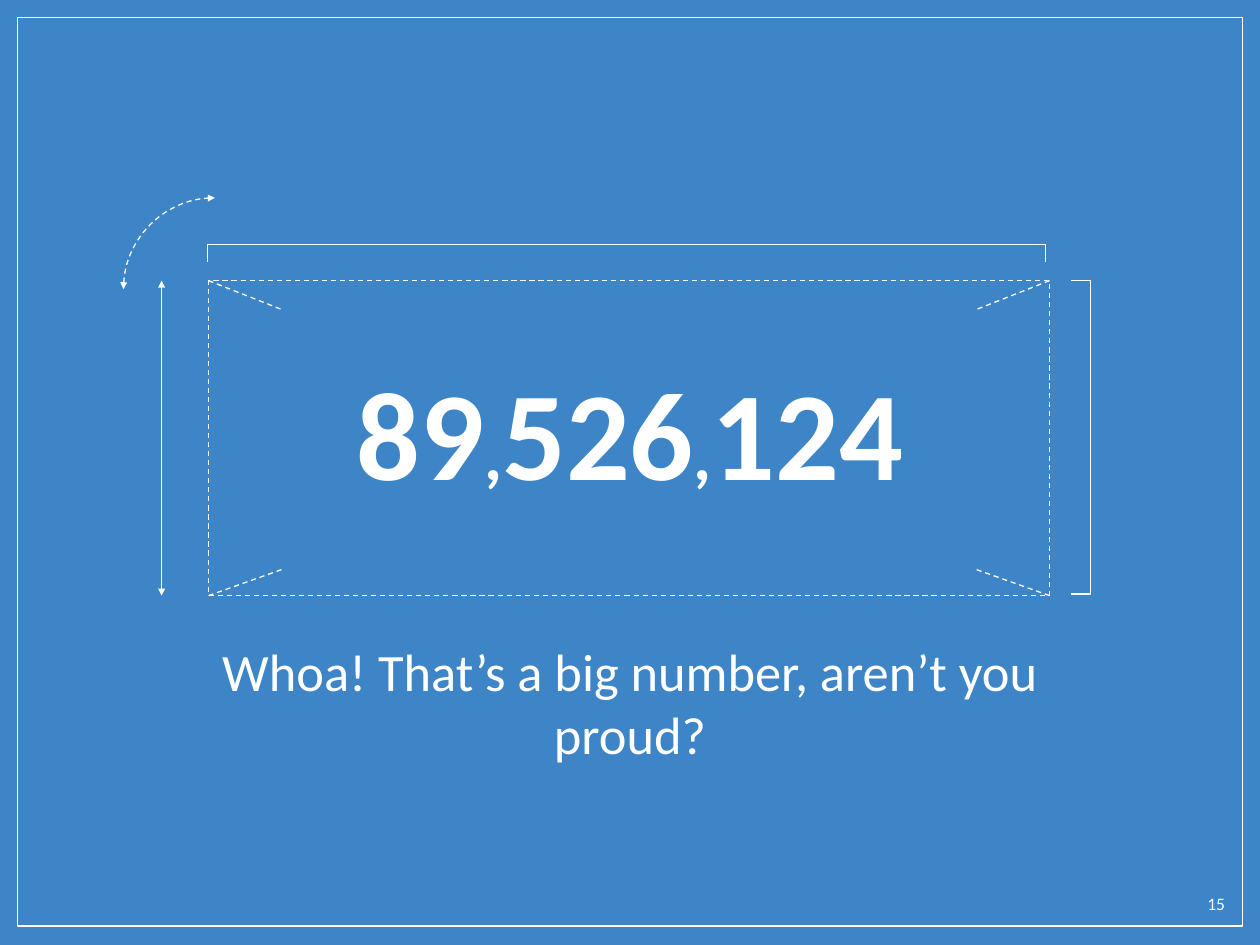
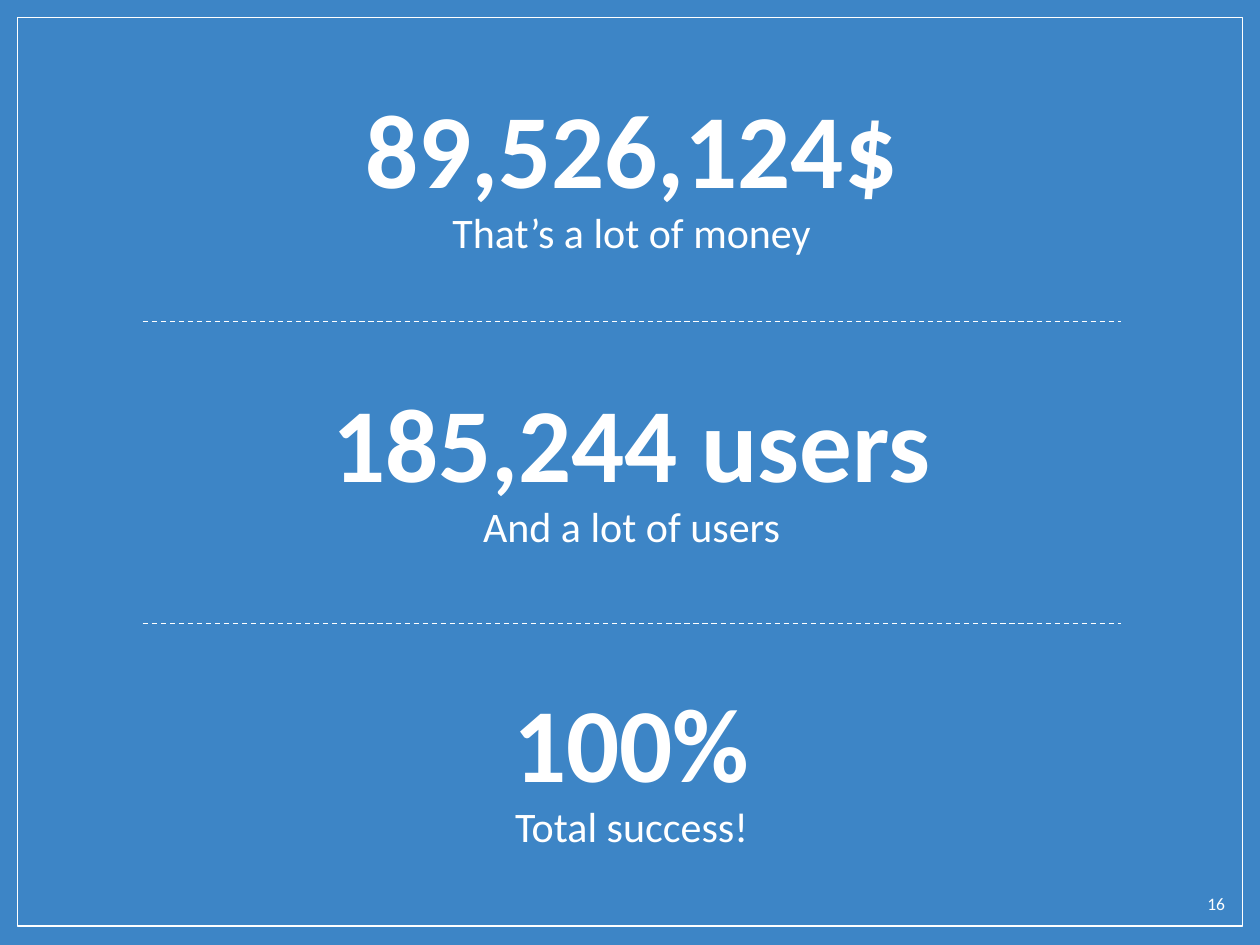
from pptx import Presentation
from pptx.dml.color import RGBColor
from pptx.enum.dml import MSO_LINE
from pptx.enum.shapes import MSO_CONNECTOR, MSO_SHAPE
from pptx.enum.text import MSO_ANCHOR, PP_ALIGN
from pptx.oxml.ns import qn
from pptx.util import Inches, Pt
from lxml.etree import SubElement

# Theme: colours, type sizes and line weight
THEME = {
    "back": RGBColor(0x3D, 0x85, 0xC6),
    "ink": RGBColor(0xFF, 0xFF, 0xFF),
    "line": Pt(0.75),
    "hero": {"name": "Calibri", "size": Pt(72), "bold": True},
    "comma": {"name": "Calibri", "size": Pt(40), "bold": True},
    "figure": {"name": "Calibri", "size": Pt(60), "bold": True},
    "lead": {"name": "Calibri", "size": Pt(30), "bold": False},
    "caption": {"name": "Calibri", "size": Pt(24), "bold": False},
    "page": {"name": "Calibri", "size": Pt(10), "bold": False},
}

prs = Presentation()
prs.slide_width, prs.slide_height = Inches(10), Inches(7.5)
prs.slide_master.background.fill.solid()
prs.slide_master.background.fill.fore_color.rgb = THEME["back"]

# Grid: 100 columns by 100 rows
COL, ROW = prs.slide_width // 100, prs.slide_height // 100


def add_text(s, box, runs, align=PP_ALIGN.CENTER, before=0):
    left, top, width, height = box
    sp = s.shapes.add_textbox(int(left * COL), int(top * ROW), int(width * COL), int(height * ROW))
    tf = sp.text_frame
    frame = {"word_wrap": True, "vertical_anchor": MSO_ANCHOR.TOP}
    for side in ("left", "top", "right", "bottom"):
        frame[f"margin_{side}"] = Inches(0.1)
    for key, value in frame.items():
        setattr(tf, key, value)
    p = tf.paragraphs[0]
    p.alignment, p.space_before = align, Pt(before)
    for words, style in runs:
        r = p.add_run()
        r.text = words
        r.font.color.rgb = THEME["ink"]
        for key, value in THEME[style].items():
            setattr(r.font, key, value)


def outline(sp, dashed=False, arrows=False):
    sp.line.color.rgb = THEME["ink"]
    sp.line.width = THEME["line"]
    if dashed:
        sp.line.dash_style = MSO_LINE.DASH
    if arrows:
        for end in ("a:headEnd", "a:tailEnd"):
            SubElement(sp.line._get_or_add_ln(), qn(end), type="triangle", w="sm", len="sm")
    if hasattr(sp, "fill"):
        sp.fill.background()
        sp.shadow.inherit = False
    else:
        SubElement(sp._element.spPr, qn("a:effectLst"))


# Shared frame and page number
slides = []
for number in (15, 16):
    s = prs.slides.add_slide(prs.slide_layouts[6])
    outline(s.shapes.add_shape(MSO_SHAPE.RECTANGLE, int(1.4 * COL), int(1.87 * ROW),
                               int(97.2 * COL), int(96.13 * ROW)))
    add_text(s, (93.2, 93.4, 5, 5.73), [(str(number), "page")], PP_ALIGN.RIGHT)
    slides.append(s)

# Slide 15: one big number in a measured panel
s = slides[0]
left, top, right, bottom = 16.55, 29.7, 83.3, 63.03
outline(s.shapes.add_shape(MSO_SHAPE.RECTANGLE, int(left * COL), int(top * ROW),
                           int((right - left) * COL), int((bottom - top) * ROW)), dashed=True)

# Strokes running inwards from the four corners
for x, inward in ((left, 1), (right, -1)):
    for y, down in ((top, 3.1), (bottom, -2.8)):
        outline(s.shapes.add_connector(MSO_CONNECTOR.STRAIGHT, int(x * COL), int(y * ROW),
                                       int((x + inward * 5.9) * COL), int((y + down) * ROW)),
                dashed=True)

# Brackets on the right and above
brackets = [
    [(85, 29.65), (86.55, 29.65), (86.55, 62.85), (85, 62.85)],
    [(16.45, 27.7), (16.45, 25.87), (83, 25.87), (83, 27.7)],
]
for bracket in brackets:
    points = [(int(x * COL), int(y * ROW)) for x, y in bracket]
    builder = s.shapes.build_freeform(*points[0])
    builder.add_line_segments(points[1:], close=False)
    outline(builder.convert_to_shape())

# Height arrow and turning arrow
outline(s.shapes.add_connector(MSO_CONNECTOR.STRAIGHT, int(12.83 * COL), int(top * ROW),
                               int(12.83 * COL), int(bottom * ROW)), arrows=True)
turn = s.shapes.add_shape(MSO_SHAPE.ARC, int(9.8 * COL), int(20.93 * ROW),
                          int(14.5 * COL), int(14.5 * COL))
turn.rotation = 270
outline(turn, dashed=True, arrows=True)

add_text(s, (7.5, 36.2, 85, 22.53),
         [("89", "hero"), (",", "comma"), ("526", "hero"), (",", "comma"), ("124", "hero")])
add_text(s, (15.4, 66.27, 69.2, 15.2),
         [("Whoa! That’s a big number, aren’t you proud?", "lead")], before=6)

# Slide 16: three figures with captions, split by dashed rules
s = slides[1]
margin, width = 11.33, 77.6
caption_drop = 13
figures = [
    (7.47, "89,526,124$", "That’s a lot of money"),
    (38.6, "185,244 users", "And a lot of users"),
    (70.4, "100%", "Total success!"),
]
for y, figure, caption in figures:
    add_text(s, (margin, y, width, caption_drop), [(figure, "figure")])
    add_text(s, (margin, y + caption_drop, width, 9.07), [(caption, "caption")], before=6)
for y in (34, 66):
    outline(s.shapes.add_connector(MSO_CONNECTOR.STRAIGHT, int(margin * COL), int(y * ROW),
                                   int((margin + width) * COL), int(y * ROW)), dashed=True)

prs.save("out.pptx")
